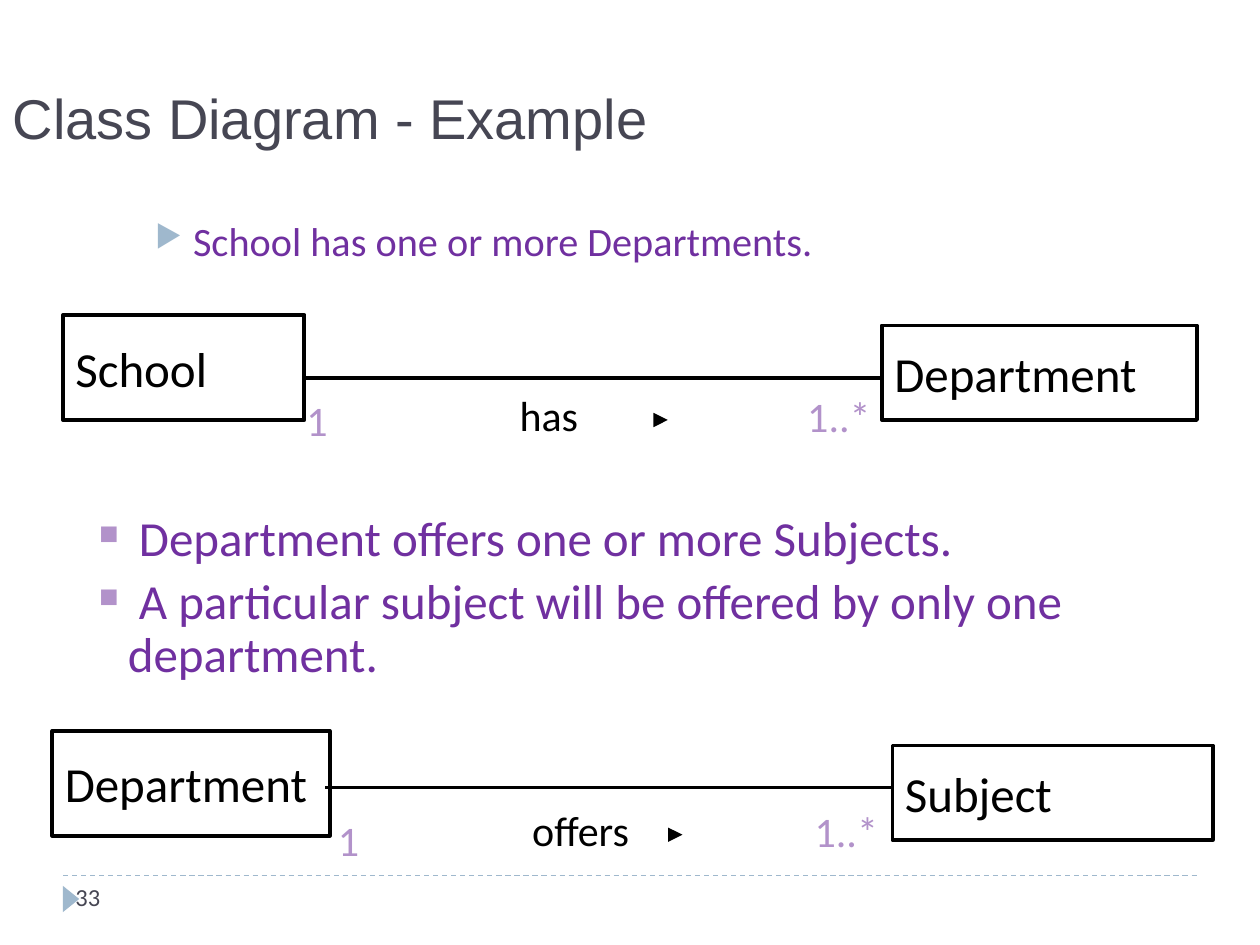
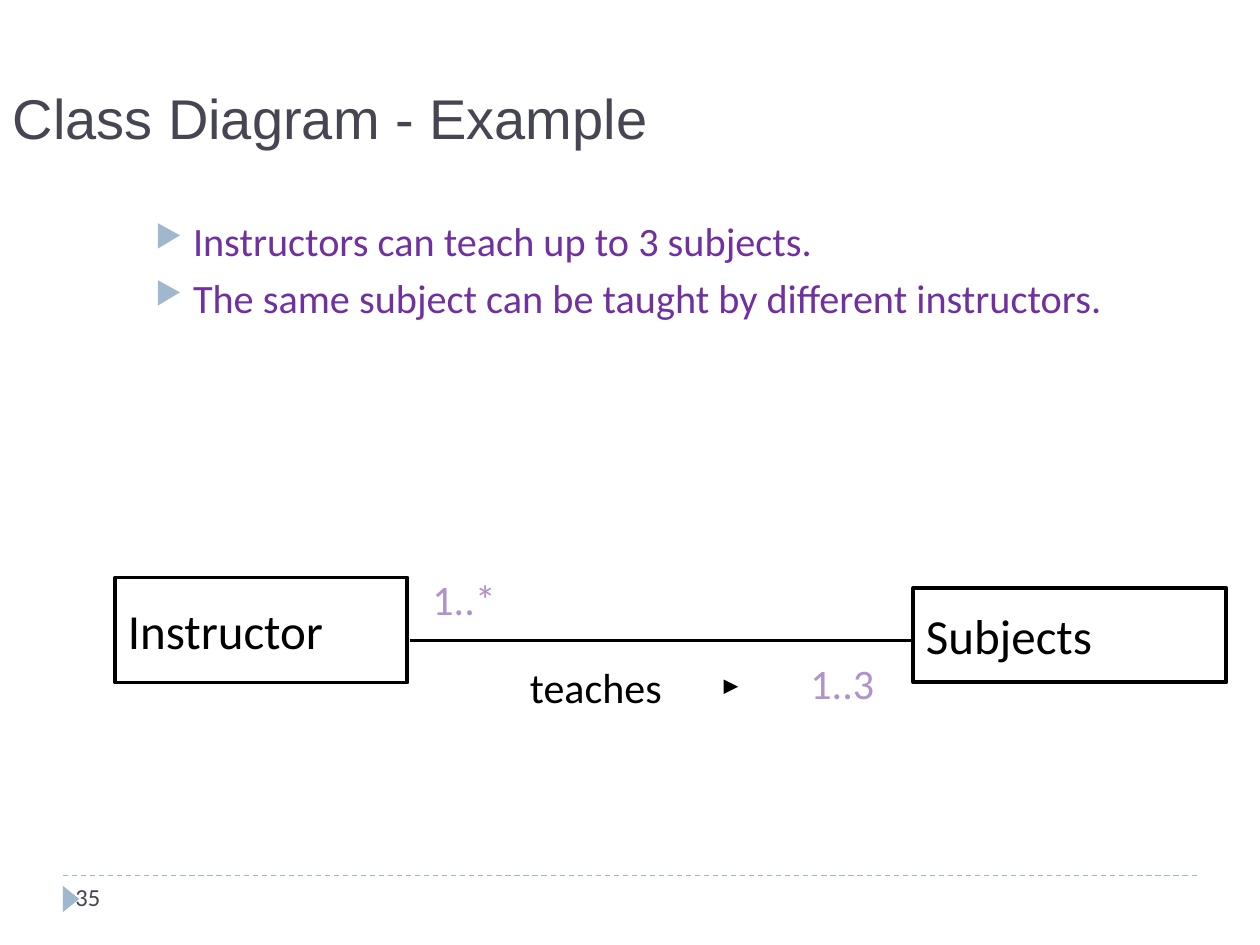
from dataclasses import dataclass

from lxml.etree import SubElement
from pptx import Presentation
from pptx.dml.color import RGBColor
from pptx.enum.dml import MSO_LINE
from pptx.enum.shapes import MSO_CONNECTOR, MSO_SHAPE
from pptx.enum.text import MSO_ANCHOR, MSO_AUTO_SIZE, PP_ALIGN
from pptx.oxml.ns import qn
from pptx.presentation import Presentation as Deck
from pptx.shapes.connector import Connector
from pptx.slide import Slide
from pptx.text.text import TextFrame
from pptx.util import Emu, Inches, Pt

BLACK = RGBColor(0x00, 0x00, 0x00)
WHITE = RGBColor(0xFF, 0xFF, 0xFF)
SLATE = RGBColor(0x46, 0x46, 0x53)
STEEL = RGBColor(0x9F, 0xB8, 0xCD)
PURPLE = RGBColor(0x70, 0x30, 0xA0)
LILAC = RGBColor(0xB2, 0x92, 0xCA)

CELL = Inches(10) // 120  # 120 columns by 90 rows
TITLE = "Class Diagram - Example"
LABEL_SIZE = 24


@dataclass(frozen=True)
class Area:
    """A rectangle in grid columns and rows."""
    column: float
    row: float
    columns: float
    rows: float

    def lengths(self) -> tuple[Emu, Emu, Emu, Emu]:
        return (cells(self.column), cells(self.row),
                cells(self.columns), cells(self.rows))


@dataclass(frozen=True)
class BulletStyle:
    symbol: str
    color: RGBColor
    percent: int
    margin: float
    indent: float
    space_before: float
    line_spacing: float = 1.0


@dataclass(frozen=True)
class BulletList:
    area: Area
    size: float
    style: BulletStyle
    lines: tuple[str, ...]


@dataclass(frozen=True)
class ClassBox:
    name: str
    area: Area


@dataclass(frozen=True)
class Label:
    text: str
    column: float
    row: float
    color: RGBColor = LILAC
    columns: float = 9


@dataclass(frozen=True)
class Line:
    start: tuple[float, float]
    end: tuple[float, float]


@dataclass(frozen=True)
class Association:
    boxes: tuple[ClassBox, ClassBox]
    link: Line
    verb: Label
    direction: Line
    multiplicities: tuple[Label, Label]


@dataclass(frozen=True)
class DiagramSlide:
    number: int
    lists: tuple[BulletList, ...]
    associations: tuple[Association, ...]


ARROW_BULLET = BulletStyle("▶", STEEL, 76, 0.6, -0.3, 5)
SQUARE_BULLET = BulletStyle("■", LILAC, 55, 0.5, -0.23, 5.6, 0.9)
BODY_AREA = Area(10, 20, 106, 58.4)

SLIDES = (
    DiagramSlide(
        33,
        (
            BulletList(BODY_AREA, 23, ARROW_BULLET,
                       ("School has one or more Departments.",)),
            BulletList(Area(5, 48.4, 122, 17.4), 28, SQUARE_BULLET,
                       (" Department offers one or more Subjects.",
                        " A particular subject will be offered by only one department.")),
        ),
        (
            Association(
                (ClassBox("School", Area(6, 30, 23, 10)),
                 ClassBox("Department", Area(84, 31, 30, 9))),
                Line((29, 36), (84, 36)),
                Label("has", 48.3, 36.5, BLACK, 18),
                Line((63, 40), (63.6, 40)),
                (Label("1", 28, 37), Label("1..*", 75.7, 36.6)),
            ),
            Association(
                (ClassBox("Department", Area(5, 69.6, 26.4, 10)),
                 ClassBox("Subject", Area(85, 71, 30.5, 9))),
                Line((31, 75), (85, 75)),
                Label("offers", 49.5, 76, BLACK, 18),
                Line((64.1, 79.5), (65, 79.5)),
                (Label("1", 31, 77), Label("1..*", 76.4, 76.1)),
            ),
        ),
    ),
    DiagramSlide(
        35,
        (
            BulletList(BODY_AREA, 23, ARROW_BULLET,
                       ("Instructors can teach up to 3 subjects.",
                        "The same subject can be taught by different instructors.")),
        ),
        (
            Association(
                (ClassBox("Instructor", Area(11, 55, 27.8, 10)),
                 ClassBox("Subjects", Area(87, 56, 29.8, 9))),
                Line((39, 61), (87, 61)),
                Label("teaches", 49.3, 62.4, BLACK, 18),
                Line((69.7, 65.4), (70.3, 65.4)),
                (Label("1..*", 40, 54), Label("1..3", 76, 62)),
            ),
        ),
    ),
)


def cells(count: float) -> Emu:
    return Emu(round(count * CELL))


def add_bullet(paragraph, style: BulletStyle) -> None:
    properties = paragraph._p.get_or_add_pPr()
    properties.set("marL", str(Inches(style.margin)))
    properties.set("indent", str(Inches(style.indent)))
    color = SubElement(properties, qn("a:buClr"))
    SubElement(color, qn("a:srgbClr"), val=str(style.color))
    SubElement(properties, qn("a:buSzPct"), val=str(style.percent * 1000))
    SubElement(properties, qn("a:buChar"), char=style.symbol)


def write_text(frame: TextFrame, *lines: str, size: float, color: RGBColor,
               font: str = "Calibri", anchor: MSO_ANCHOR = MSO_ANCHOR.TOP,
               bullet: BulletStyle | None = None) -> None:
    frame.word_wrap = True
    frame.auto_size = MSO_AUTO_SIZE.NONE
    frame.vertical_anchor = anchor
    for index, line in enumerate(lines):
        paragraph = frame.add_paragraph() if index else frame.paragraphs[0]
        paragraph.alignment = PP_ALIGN.LEFT
        if bullet:
            paragraph.level = 1
            add_bullet(paragraph, bullet)
            paragraph.line_spacing = bullet.line_spacing
            paragraph.space_before = Pt(bullet.space_before if index else 0)
        run = paragraph.add_run()
        run.text = line
        run.font.name = font
        run.font.size = Pt(size)
        run.font.color.rgb = color


def add_text_box(slide: Slide, area: Area, *lines: str, **text_format) -> None:
    box = slide.shapes.add_textbox(*area.lengths())
    write_text(box.text_frame, *lines, **text_format)


def add_line(slide: Slide, line: Line, color: RGBColor = BLACK,
             width: float = 2.25) -> Connector:
    connector = slide.shapes.add_connector(
        MSO_CONNECTOR.STRAIGHT, *map(cells, line.start + line.end))
    connector.line.color.rgb = color
    connector.line.width = Pt(width)
    SubElement(connector._element.spPr, qn("a:effectLst"))
    return connector


def add_class_box(slide: Slide, box: ClassBox) -> None:
    shape = slide.shapes.add_shape(MSO_SHAPE.RECTANGLE, *box.area.lengths())
    shape.shadow.inherit = False
    shape.fill.solid()
    shape.fill.fore_color.rgb = WHITE
    shape.line.color.rgb = BLACK
    shape.line.width = Pt(2.25)
    write_text(shape.text_frame, box.name, size=28, color=BLACK,
               anchor=MSO_ANCHOR.MIDDLE)


def add_label(slide: Slide, label: Label) -> None:
    area = Area(label.column, label.row, label.columns, 6)
    add_text_box(slide, area, label.text, size=LABEL_SIZE, color=label.color)


def add_association(slide: Slide, association: Association) -> None:
    for box in association.boxes:
        add_class_box(slide, box)
    add_line(slide, association.link)
    direction = add_line(slide, association.direction, width=2.75)
    SubElement(direction.line._get_or_add_ln(), qn("a:tailEnd"), type="triangle")
    for label in (association.verb, *association.multiplicities):
        add_label(slide, label)


def add_footer(slide: Slide, number: int) -> None:
    rule = add_line(slide, Line((6, 83.4), (114, 83.4)), STEEL, 0.75)
    rule.line.dash_style = MSO_LINE.DASH
    marker = slide.shapes.add_shape(MSO_SHAPE.ISOSCELES_TRIANGLE,
                                    *Area(5.5, 84.84, 2.52, 1.56).lengths())
    marker.rotation = 90
    marker.shadow.inherit = False
    marker.fill.solid()
    marker.fill.fore_color.rgb = STEEL
    marker.line.fill.background()
    add_text_box(slide, Area(6, 83.4, 28, 4.8), str(number), size=14, color=SLATE)


def add_title(slide: Slide) -> None:
    title = slide.shapes.title
    title.left, title.top, title.width, title.height = Area(0, 2, 115.3, 13).lengths()
    write_text(title.text_frame, TITLE, size=32, color=SLATE, font="Arial",
               anchor=MSO_ANCHOR.BOTTOM)


def add_diagram_slide(presentation: Deck, content: DiagramSlide) -> None:
    slide = presentation.slides.add_slide(
        presentation.slide_layouts.get_by_name("Title Only"))
    slide.background.fill.solid()
    slide.background.fill.fore_color.rgb = WHITE
    add_footer(slide, content.number)
    add_title(slide)
    for bullets in content.lists:
        add_text_box(slide, bullets.area, *bullets.lines, size=bullets.size,
                     color=PURPLE, bullet=bullets.style)
    for association in content.associations:
        add_association(slide, association)


def main() -> None:
    presentation = Presentation()
    presentation.slide_width = cells(120)
    presentation.slide_height = cells(90)
    for content in SLIDES:
        add_diagram_slide(presentation, content)
    presentation.save("out.pptx")


if __name__ == "__main__":
    main()
